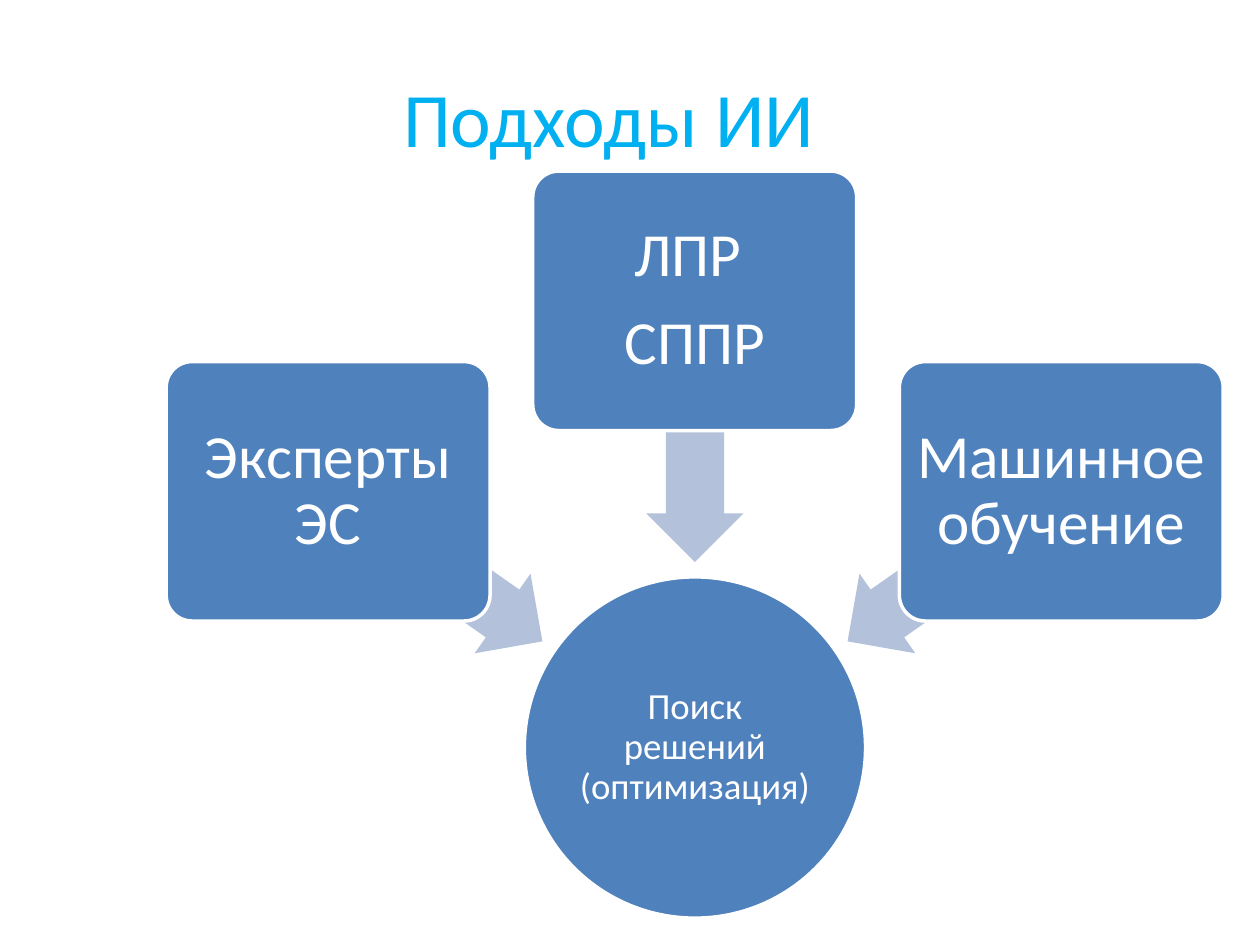
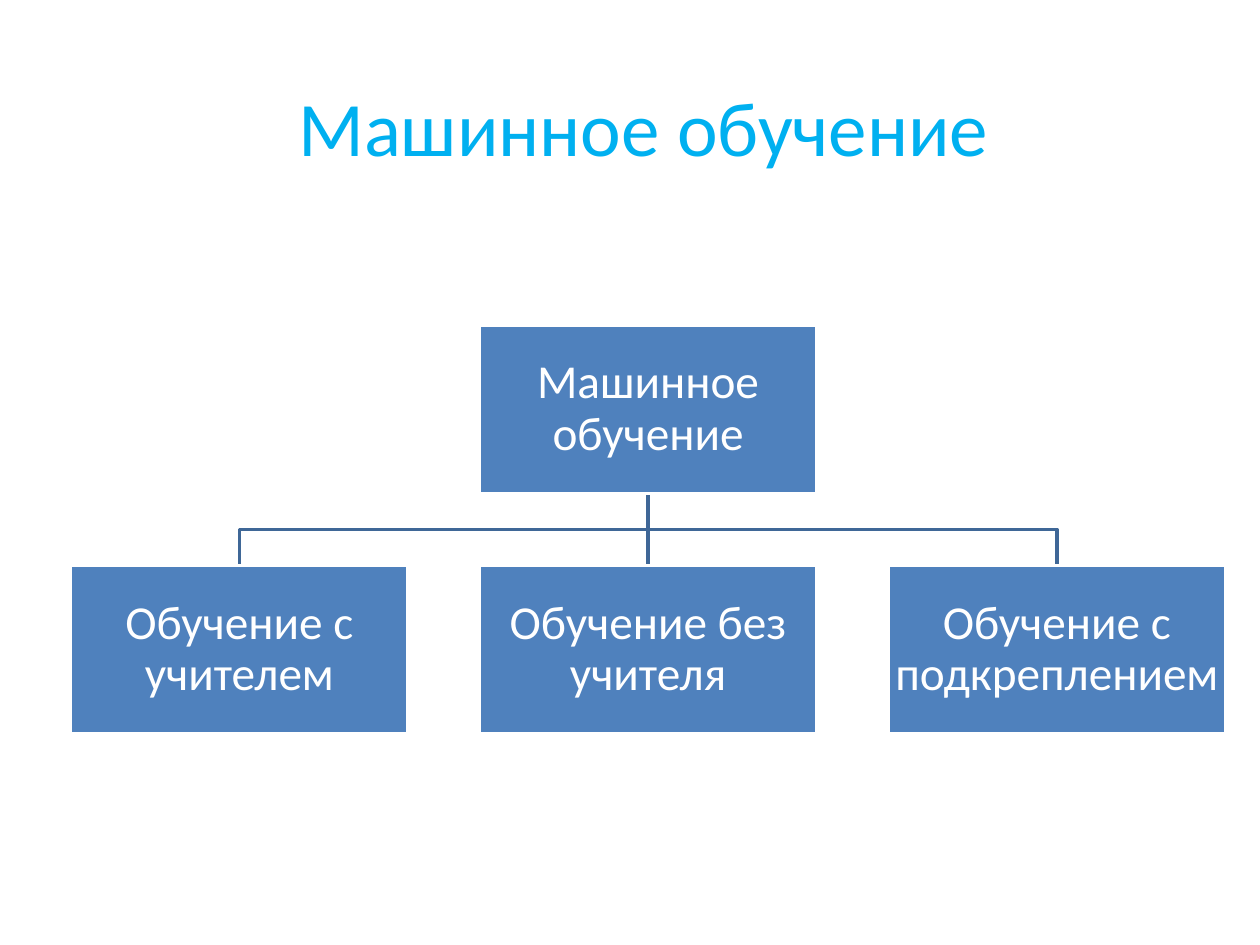
from lxml.etree import SubElement
from pptx import Presentation
from pptx.dml.color import RGBColor
from pptx.enum.shapes import MSO_CONNECTOR, MSO_SHAPE
from pptx.enum.text import MSO_ANCHOR, PP_ALIGN
from pptx.oxml.ns import qn
from pptx.util import Cm, Pt

# Shared style
FONT = "Calibri"
TITLE_COLOR = "00B0F0"
BOX_COLOR = "4F81BD"
ARROW_COLOR = "B3C1DB"
LINE_COLOR = "3F6797"
WHITE = "FFFFFF"
LINE_WIDTH = Pt(2)
TITLE_ONLY = 5


def color(value):
    return RGBColor.from_string(value)


def write(shape, text, size, font_color=WHITE, inset=0.25, line_spacing=0.9):
    """Fill a shape with centred text, one paragraph per line."""
    frame = shape.text_frame
    frame.word_wrap = True
    frame.vertical_anchor = MSO_ANCHOR.MIDDLE
    frame.margin_left = frame.margin_right = Cm(inset)
    frame.margin_top = frame.margin_bottom = Cm(inset)
    frame.text = text
    for paragraph in frame.paragraphs:
        paragraph.alignment = PP_ALIGN.CENTER
        paragraph.line_spacing = line_spacing
        paragraph.font.name = FONT
        paragraph.font.size = Pt(size)
        paragraph.font.color.rgb = color(font_color)
    for paragraph in frame.paragraphs[:-1]:
        paragraph.space_after = Pt(0.35 * size)


class Deck:
    """Holds the presentation and the slide being built."""

    def __init__(self):
        self.presentation = Presentation()
        self.presentation.slide_width = Cm(25.4)
        self.presentation.slide_height = Cm(19.05)
        self.slide = None

    def add_slide(self, title, left, top):
        layout = self.presentation.slide_layouts[TITLE_ONLY]
        self.slide = self.presentation.slides.add_slide(layout)
        placeholder = self.slide.shapes.title
        placeholder.left, placeholder.top = Cm(left), Cm(top)
        placeholder.width, placeholder.height = Cm(21.9), Cm(2.77)
        write(placeholder, title, 44, TITLE_COLOR, line_spacing=1.0)

    def shape(self, kind, left, top, width, height, fill):
        shape = self.slide.shapes.add_shape(
            kind, Cm(left), Cm(top), Cm(width), Cm(height))
        shape.shadow.inherit = False
        shape.fill.solid()
        shape.fill.fore_color.rgb = color(fill)
        return shape

    def box(self, kind, left, top, width, height, text, size, inset):
        box = self.shape(kind, left, top, width, height, BOX_COLOR)
        box.line.color.rgb = color(WHITE)
        box.line.width = LINE_WIDTH
        write(box, text, size, inset=inset)
        return box

    def arrow(self, left, top, rotation):
        arrow = self.shape(MSO_SHAPE.LEFT_ARROW, left, top, 5.26, 1.96, ARROW_COLOR)
        arrow.line.fill.background()
        arrow.adjustments[0] = 0.6
        arrow.adjustments[1] = 0.5
        arrow.rotation = rotation

    def style_line(self, line_shape):
        """Colour a line and put it behind the boxes."""
        line_shape.line.color.rgb = color(LINE_COLOR)
        line_shape.line.width = LINE_WIDTH
        self.slide.shapes._spTree.insert(2, line_shape._element)

    def straight_link(self, parent, child):
        link = self.slide.shapes.add_connector(MSO_CONNECTOR.STRAIGHT, 0, 0, 0, 0)
        link.begin_connect(parent, 2)
        link.end_connect(child, 0)
        SubElement(link._element.spPr, qn("a:effectLst"))
        self.style_line(link)

    def elbow_link(self, parent, child):
        start_x = parent.left + parent.width // 2
        start_y = parent.top + parent.height
        end_x = child.left + child.width // 2
        middle_y = (start_y + child.top) // 2
        builder = self.slide.shapes.build_freeform(start_x, start_y)
        builder.add_line_segments(
            [(start_x, middle_y), (end_x, middle_y), (end_x, child.top)], close=False)
        link = builder.convert_to_shape()
        link.shadow.inherit = False
        link.fill.background()
        self.style_line(link)


def build_approaches(deck):
    deck.add_slide("Подходы ИИ", 1.32, 0.97)

    # Goal that the approaches lead to
    deck.box(MSO_SHAPE.OVAL, 10.57, 11.63, 6.88, 6.88,
             "Поиск решений (оптимизация)", 21, inset=0.03)

    # Approaches, each box over its arrow
    approaches = [
        ("Эксперты ЭС", 7.29, 10.44, 215),
        ("ЛПР \nСППР", 3.45, 7.72, 270),
        ("Машинное обучение", 7.29, 10.44, 325),
    ]
    for column, (text, box_top, arrow_top, rotation) in enumerate(approaches):
        deck.arrow(6.15 + column * 5.23, arrow_top, rotation)
        box = deck.box(MSO_SHAPE.ROUNDED_RECTANGLE, 3.35 + column * 7.39, box_top,
                       6.53, 5.23, text, 35, inset=0.18)
        box.adjustments[0] = 0.1


def build_learning_types(deck):
    deck.add_slide("Машинное обучение", 2.03, 1.14)
    first_left, pitch = 1.42, 8.24

    def node(text, column, top):
        return deck.box(MSO_SHAPE.RECTANGLE, first_left + column * pitch, top,
                        6.81, 3.4, text, 27, inset=0.05)

    # Tree of learning types
    root = node("Машинное обучение", 1, 6.55)
    kinds = ["Обучение с учителем", "Обучение без учителя", "Обучение с подкреплением"]
    children = [node(text, column, 11.4) for column, text in enumerate(kinds)]

    # Links from the root
    supervised, unsupervised, reinforcement = children
    deck.elbow_link(root, supervised)
    deck.straight_link(root, unsupervised)
    deck.elbow_link(root, reinforcement)


def main():
    deck = Deck()
    build_approaches(deck)
    build_learning_types(deck)
    deck.presentation.save("out.pptx")


if __name__ == "__main__":
    main()
